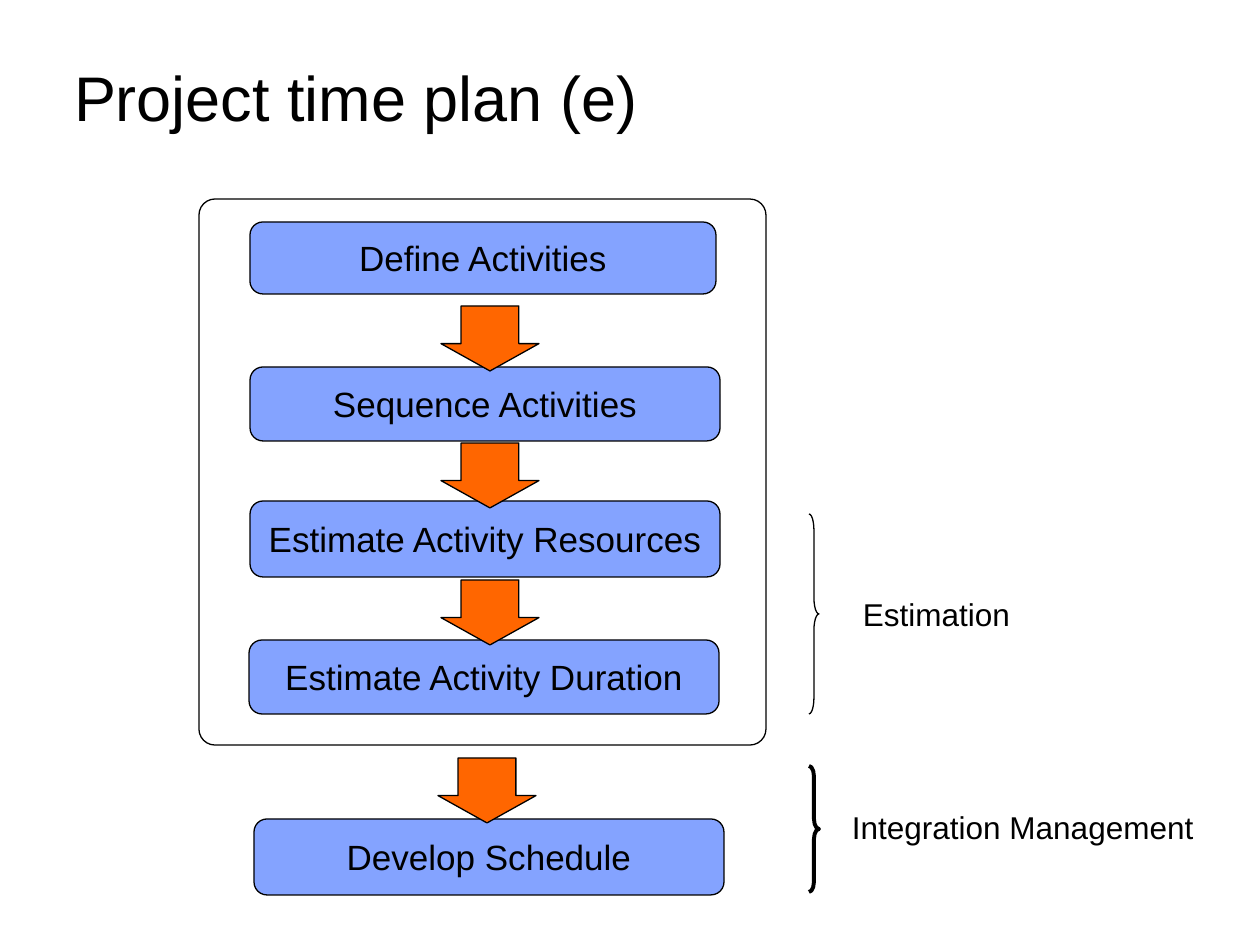
from dataclasses import dataclass

from lxml.etree import SubElement
from pptx import Presentation
from pptx.dml.color import RGBColor as RGB
from pptx.enum.shapes import MSO_SHAPE as Shape
from pptx.enum.text import MSO_ANCHOR as Anchor, PP_ALIGN as Align
from pptx.oxml.ns import qn
from pptx.util import Emu, Pt

PX_PER_INCH = 126


def px(n: int) -> Emu:
    return Emu(round(n * 914400 / PX_PER_INCH))


@dataclass(frozen=True)
class Theme:
    font: str = "Arial"
    ink: RGB = RGB(0, 0, 0)
    box: RGB = RGB(0x33, 0x66, 0xFF)
    box_opacity: int = 60
    arrow: RGB = RGB(0xFF, 0x66, 0x00)
    title_size: int = 36
    box_size: int = 20
    label_size: int = 18
    thin: float = 0.75
    thick: float = 2.25


@dataclass(frozen=True)
class Rect:
    x: int
    y: int
    w: int
    h: int


@dataclass(frozen=True)
class Step:
    runs: tuple[str, ...]
    rect: Rect


@dataclass(frozen=True)
class Label:
    runs: tuple[str, ...]
    rect: Rect
    size: int


@dataclass(frozen=True)
class Brace:
    rect: Rect
    weight: float


T = Theme()

FRAME = Rect(199, 199, 567, 546)
FRAME_RADIUS, BOX_RADIUS = 16, 13

STEPS = (
    Step(("Define ", "Activities"), Rect(250, 222, 466, 72)),
    Step(("Sequence ", "Activities"), Rect(250, 367, 470, 74)),
    Step(("Estimate Activity ", "Resources"), Rect(250, 501, 470, 76)),
    Step(("Estimate Activity ", "Duration"), Rect(249, 640, 470, 74)),
    Step(("Develop ", "Schedule"), Rect(254, 819, 470, 76)),
)

ARROW_W, ARROW_H, ARROW_PITCH = 98, 65, 137
ARROWS = tuple(Rect(441, 306 + i * ARROW_PITCH, ARROW_W, ARROW_H) for i in range(3)) + (
    Rect(438, 758, ARROW_W, ARROW_H),
)

BRACES = (
    Brace(Rect(809, 514, 10, 200), T.thin),
    Brace(Rect(809, 766, 10, 126), T.thick),
)

LABELS = (
    Label(("Project time ", "plan (e)"), Rect(74, 60, 1112, 72), T.title_size),
    Label(("Estimation",), Rect(863, 596, 200, 36), T.label_size),
    Label(("Integration ", "Management"), Rect(852, 809, 380, 36), T.label_size),
)


def add_text(tf, runs: tuple[str, ...], size: int, align: Align) -> None:
    tf.word_wrap = True
    tf.vertical_anchor = Anchor.MIDDLE
    tf.margin_left = tf.margin_right = tf.margin_top = tf.margin_bottom = 0
    p = tf.paragraphs[0]
    p.alignment = align
    for text in runs:
        r = p.add_run()
        r.text = text
        r.font.name = T.font
        r.font.size = Pt(size)
        r.font.color.rgb = T.ink


def add_outline(s, kind: Shape, rect: Rect, weight: float = T.thin):
    sp = s.shapes.add_shape(kind, px(rect.x), px(rect.y), px(rect.w), px(rect.h))
    sp.shadow.inherit = False
    sp.fill.background()
    sp.line.color.rgb = T.ink
    sp.line.width = Pt(weight)
    return sp


def add_rounded(s, rect: Rect, radius: int):
    sp = add_outline(s, Shape.ROUNDED_RECTANGLE, rect)
    sp.adjustments[0] = radius / min(rect.w, rect.h)
    return sp


def add_step(s, step: Step) -> None:
    sp = add_rounded(s, step.rect, BOX_RADIUS)
    sp.fill.solid()
    sp.fill.fore_color.rgb = T.box
    color = sp.element.spPr.find(qn("a:solidFill")).find(qn("a:srgbClr"))
    SubElement(color, qn("a:alpha")).set("val", str(T.box_opacity * 1000))
    add_text(sp.text_frame, step.runs, T.box_size, Align.CENTER)


def add_arrow(s, rect: Rect) -> None:
    sp = add_outline(s, Shape.DOWN_ARROW, rect)
    sp.adjustments[0] = 0.59
    sp.adjustments[1] = 0.42
    sp.fill.solid()
    sp.fill.fore_color.rgb = T.arrow


def add_brace(s, brace: Brace) -> None:
    sp = add_outline(s, Shape.RIGHT_BRACE, brace.rect, brace.weight)
    sp.adjustments[0] = 0.08 * brace.rect.h / brace.rect.w


def add_label(s, label: Label) -> None:
    b = label.rect
    sp = s.shapes.add_textbox(px(b.x), px(b.y), px(b.w), px(b.h))
    add_text(sp.text_frame, label.runs, label.size, Align.LEFT)


def main() -> None:
    prs = Presentation()
    prs.slide_width, prs.slide_height = px(1260), px(945)
    s = prs.slides.add_slide(prs.slide_layouts[6])
    add_rounded(s, FRAME, FRAME_RADIUS)
    for step in STEPS:
        add_step(s, step)
    for arrow in ARROWS:
        add_arrow(s, arrow)
    for brace in BRACES:
        add_brace(s, brace)
    for label in LABELS:
        add_label(s, label)
    prs.save("out.pptx")


if __name__ == "__main__":
    main()
